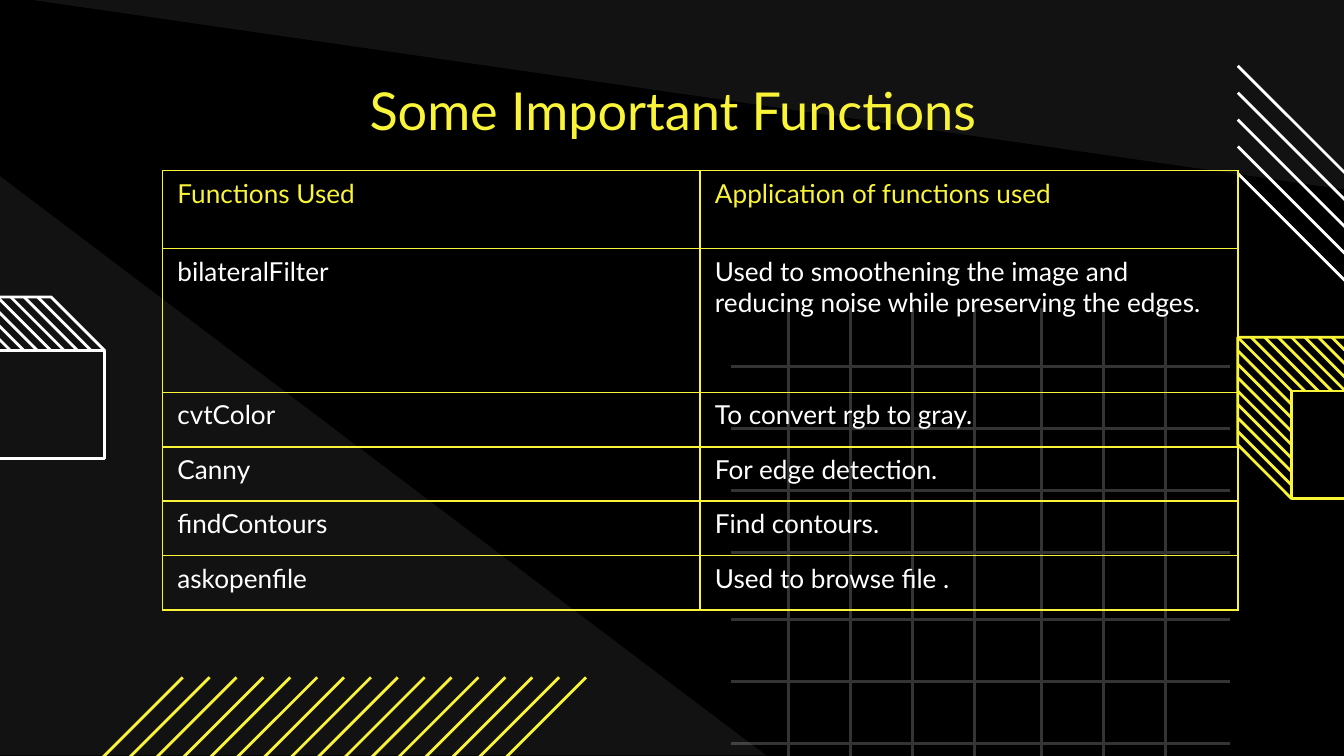
from lxml.etree import SubElement
from pptx import Presentation
from pptx.dml.color import RGBColor
from pptx.enum.shapes import MSO_CONNECTOR, MSO_SHAPE
from pptx.enum.text import MSO_ANCHOR, PP_ALIGN
from pptx.oxml import parse_xml
from pptx.oxml.ns import nsdecls, qn
from pptx.util import Inches, Pt

YELLOW, WHITE, GRAY, BLACK = "FAF439", "FFFFFF", "343434", "000000"


def rgb(color):
    return RGBColor.from_string(color)


class DarkSlide:
    font_name = "Lato"
    stroke = Pt(1.5)

    def __init__(self, slide):
        self.slide = slide
        self.shapes = slide.shapes
        background = slide.background.fill
        background.solid()
        background.fore_color.rgb = rgb(BLACK)

    def set_font(self, paragraph, size, color):
        paragraph.font.name = self.font_name
        paragraph.font.size = Pt(size)
        paragraph.font.color.rgb = rgb(color)

    def outline(self, shape, color):
        shape.shadow.inherit = False
        shape.fill.background()
        shape.line.color.rgb = rgb(color)
        shape.line.width = self.stroke

    def line(self, x1, y1, x2, y2, color):
        connector = self.shapes.add_connector(
            MSO_CONNECTOR.STRAIGHT, Inches(x1), Inches(y1), Inches(x2), Inches(y2))
        connector.line.color.rgb = rgb(color)
        connector.line.width = self.stroke
        SubElement(connector._element.spPr, qn("a:effectLst"))

    def hatch(self, x, y, count, step_x, step_y, run, rise, color):
        """Draw parallel lines, each moved by one step from the one before."""
        for i in range(count):
            left, top = x + i * step_x, y + i * step_y
            self.line(left, top, left + run, top + rise, color)

    def veil(self, left, top, width, height, rotation=0):
        """Draw a faint white right triangle."""
        triangle = self.shapes.add_shape(
            MSO_SHAPE.RIGHT_TRIANGLE, Inches(left), Inches(top), Inches(width), Inches(height))
        triangle.rotation = rotation
        triangle.shadow.inherit = False
        triangle.line.fill.background()
        triangle.fill.solid()
        triangle.fill.fore_color.rgb = rgb(WHITE)
        white = triangle._element.spPr.find(".//" + qn("a:srgbClr"))
        SubElement(white, qn("a:alpha")).set("val", "7000")

    def prism(self, x, y, color, side_hatched):
        """Draw a square block whose depth runs back to the corner (x, y)."""
        size, depth, gap = 0.8, 0.4, 0.1
        front = self.shapes.add_shape(
            MSO_SHAPE.RECTANGLE, Inches(x + depth), Inches(y + depth), Inches(size), Inches(size))
        self.outline(front, color)
        self.hatch(x + gap, y, 7, gap, 0, depth, depth, color)
        if side_hatched:
            self.hatch(x, y, 8, 0, gap, depth, depth, color)
        corners = [(x, y + size), (x, y), (x + size, y), (x + size + depth, y + depth)]
        builder = self.shapes.build_freeform(
            Inches(x + depth), Inches(y + depth + size))
        builder.add_line_segments([(Inches(a), Inches(b)) for a, b in corners], close=False)
        self.outline(builder.convert_to_shape(), color)

    def title(self, text, left, top, width, height):
        frame = self.shapes.add_textbox(
            Inches(left), Inches(top), Inches(width), Inches(height)).text_frame
        frame.word_wrap = True
        frame.vertical_anchor = MSO_ANCHOR.MIDDLE
        frame.margin_top = frame.margin_bottom = Inches(0.1)
        paragraph = frame.paragraphs[0]
        paragraph.text = text
        paragraph.alignment = PP_ALIGN.CENTER
        self.set_font(paragraph, 28, YELLOW)

    def border(self, cell, color):
        properties = cell._tc.get_or_add_tcPr()
        for position, side in enumerate(("lnL", "lnR", "lnT", "lnB")):
            properties.insert(position, parse_xml(
                f'<a:{side} {nsdecls("a")} w="{Pt(1)}"><a:solidFill>'
                f'<a:srgbClr val="{color}"/></a:solidFill></a:{side}>'))

    def table(self, rows, left, top, width, heights):
        table = self.shapes.add_table(
            len(rows), len(rows[0]), Inches(left), Inches(top),
            Inches(width), Inches(sum(heights))).table
        table.first_row = table.horz_banding = False
        for r, (texts, height) in enumerate(zip(rows, heights)):
            table.rows[r].height = Inches(height)
            for c, text in enumerate(texts):
                cell = table.cell(r, c)
                cell.margin_left = cell.margin_right = Inches(0.11)
                cell.fill.background()
                self.border(cell, YELLOW)
                paragraph = cell.text_frame.paragraphs[0]
                paragraph.text = text
                self.set_font(paragraph, 14, WHITE if r else YELLOW)


FUNCTIONS = [
    ("Functions Used", "Application of functions used"),
    ("bilateralFilter",
     "Used to smoothening the image and reducing noise while preserving the edges."),
    ("cvtColor", "To convert rgb to gray."),
    ("Canny", "For edge detection."),
    ("findContours", "Find contours."),
    ("askopenfile", "Used to browse file ."),
]


def main():
    presentation = Presentation()
    presentation.slide_width = Inches(10)
    presentation.slide_height = Inches(10) * 9 // 16
    page = DarkSlide(presentation.slides.add_slide(presentation.slide_layouts[6]))

    # The grid is slightly wider in its middle gap.
    offsets = [0.46 * i + (0.04 if i > 3 else 0) for i in range(7)]
    for offset in offsets:
        page.line(5.44, 2.73 + offset, 9.15, 2.73 + offset, GRAY)
    for offset in offsets:
        page.line(5.87 + offset, 2.29, 5.87 + offset, 6, GRAY)

    page.veil(0.24, 0, 9.76, 1.41, rotation=180)
    page.veil(0, 1.31, 5.7, 4.31)
    page.prism(-0.42, 2.21, WHITE, side_hatched=False)
    page.hatch(9.21, 0.49, 5, 0, 0.2, 0.8, 0.8, WHITE)
    page.prism(9.21, 2.51, YELLOW, side_hatched=True)
    page.hatch(1.36, 5.04, 16, 0.2, 0, -0.8, 0.8, YELLOW)

    page.title("Some Important Functions", 0.79, 0.5, 8.43, 0.63)
    tall_rows = [0.58, 1.07]
    short_row = (3.27 - sum(tall_rows)) / 4
    page.table(FUNCTIONS, 1.21, 1.27, 8, tall_rows + [short_row] * 4)
    presentation.save("out.pptx")


if __name__ == "__main__":
    main()
